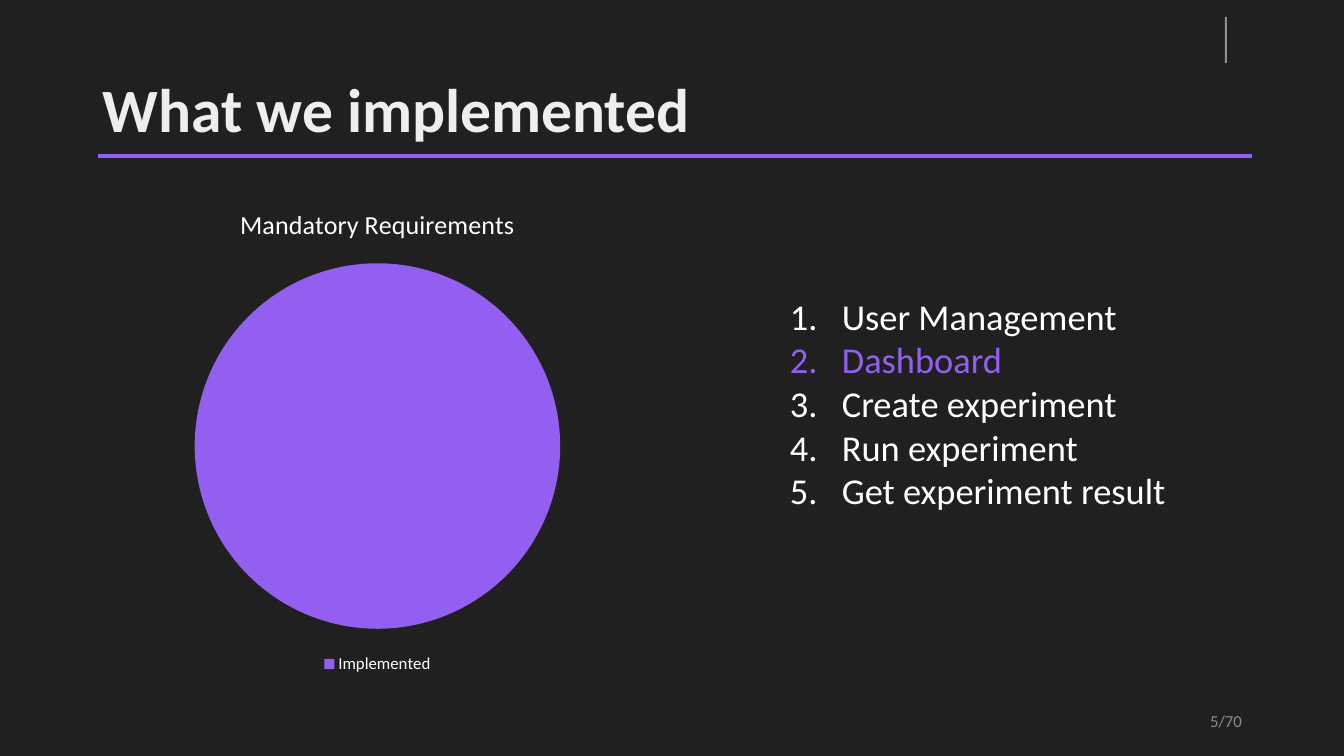
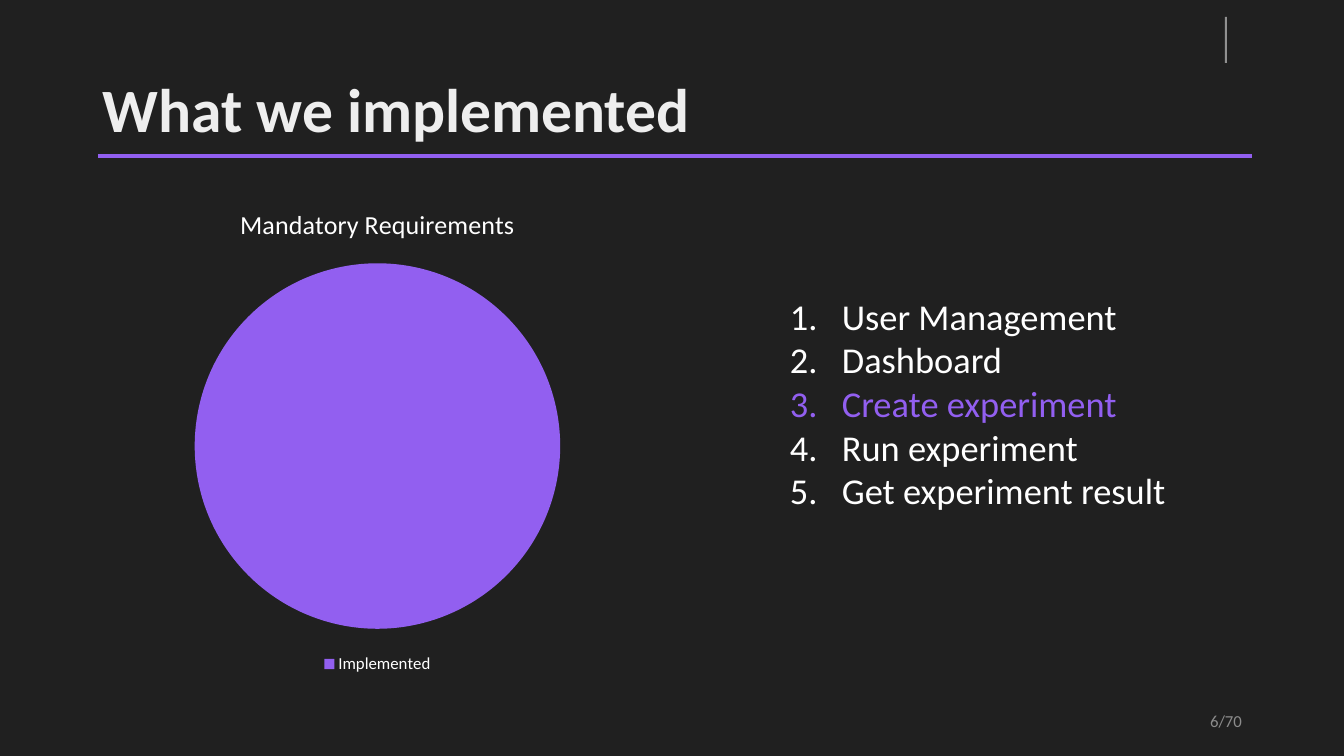
from lxml import etree
from pptx import Presentation
from pptx.chart.data import CategoryChartData
from pptx.dml.color import RGBColor
from pptx.enum.chart import XL_CHART_TYPE, XL_LEGEND_POSITION
from pptx.enum.shapes import MSO_CONNECTOR, MSO_SHAPE
from pptx.enum.text import MSO_ANCHOR, PP_ALIGN
from pptx.oxml.ns import qn
from pptx.util import Pt

PIE = XL_CHART_TYPE.PIE
LEGEND_BOTTOM = XL_LEGEND_POSITION.BOTTOM
STRAIGHT = MSO_CONNECTOR.STRAIGHT
RECTANGLE = MSO_SHAPE.RECTANGLE
TOP, MIDDLE = MSO_ANCHOR.TOP, MSO_ANCHOR.MIDDLE
LEFT, RIGHT = PP_ALIGN.LEFT, PP_ALIGN.RIGHT

BACKGROUND = RGBColor(0x20, 0x20, 0x20)
ACCENT = RGBColor(0x92, 0x5F, 0xF0)
WHITE = RGBColor(0xFF, 0xFF, 0xFF)
TITLE_COLOR = RGBColor(0xEE, 0xEE, 0xEE)
MARK_COLOR = RGBColor(0x90, 0x90, 0x90)
NUMBER_COLOR = RGBColor(0x8C, 0x8C, 0x8C)
FONT = "Calibri"

PAGE_WIDTH, PAGE_HEIGHT = 1344, 756
EMU_PER_PX = 12192000 / PAGE_WIDTH
TITLE_BOX = (93, 40, 1159, 146)
RULE_BOX = (98, 156, 1154, 0)
MARK_BOX = (1225, 17, 2, 46)
CHART_BOX = (92, 186, 571, 492)
LIST_BOX = (780, 289, 434, 319)
NUMBER_BOX = (950, 701, 302, 40)
LIST_INDENT = 52

TITLE = "What we implemented"
CHART_TITLE = "Mandatory Requirements"
REQUIREMENTS = [
    "User Management",
    "Dashboard",
    "Create experiment",
    "Run experiment",
    "Get experiment result",
]
PAGE_TOTAL = 70
HIGHLIGHTS = {5: "Dashboard", 6: "Create experiment"}


def px(length):
    return round(length * EMU_PER_PX)


def emu(box):
    return [px(length) for length in box]


def style_font(font, size, color, bold=False):
    font.name = FONT
    font.size = Pt(size)
    font.bold = bold
    font.color.rgb = color


def add_text_frame(page, box, anchor):
    frame = page.shapes.add_textbox(*emu(box)).text_frame
    frame.word_wrap = True
    frame.vertical_anchor = anchor
    return frame


def add_line_of_text(page, box, text, size, color, align=LEFT, bold=False):
    para = add_text_frame(page, box, MIDDLE).paragraphs[0]
    para.text = text
    para.alignment = align
    style_font(para.font, size, color, bold)
    return para


def add_rule(page, box):
    left, top, width, height = emu(box)
    rule = page.shapes.add_connector(STRAIGHT, left, top, left + width, top + height)
    rule.line.color.rgb = ACCENT
    rule.line.width = Pt(3)
    etree.SubElement(rule.element.spPr, qn("a:effectLst"))


def add_mark(page, box):
    mark = page.shapes.add_shape(RECTANGLE, *emu(box))
    mark.shadow.inherit = False
    mark.fill.solid()
    mark.fill.fore_color.rgb = MARK_COLOR
    mark.line.fill.background()


def add_page(deck, number):
    page = deck.slides.add_slide(deck.slide_layouts[6])
    page.background.fill.solid()
    page.background.fill.fore_color.rgb = BACKGROUND
    add_rule(page, RULE_BOX)
    add_mark(page, MARK_BOX)
    title = add_line_of_text(page, TITLE_BOX, TITLE, 44, TITLE_COLOR, bold=True)
    title.line_spacing = 0.9
    add_line_of_text(
        page, NUMBER_BOX, f"{number}/{PAGE_TOTAL}", 12, NUMBER_COLOR, align=RIGHT
    )
    return page


def add_requirement_chart(page, box):
    data = CategoryChartData()
    data.categories = ["Implemented"]
    data.add_series(CHART_TITLE, [100])
    chart = page.shapes.add_chart(PIE, *emu(box), data).chart
    style_font(chart.font, 12, WHITE)
    chart.has_title = True
    heading = chart.chart_title.text_frame.paragraphs[0]
    heading.text = CHART_TITLE
    style_font(heading.font, 18.6, WHITE)
    chart.chart_title.include_in_layout = False
    chart.has_legend = True
    chart.legend.position = LEGEND_BOTTOM
    chart.legend.include_in_layout = False
    style_font(chart.legend.font, 12, WHITE)
    chart.plots[0].vary_by_categories = True
    slice_fill = chart.plots[0].series[0].points[0].format.fill
    slice_fill.solid()
    slice_fill.fore_color.rgb = ACCENT


def number_paragraph(para, color):
    properties = para._p.get_or_add_pPr()
    properties.set("marL", str(px(LIST_INDENT)))
    properties.set("indent", str(-px(LIST_INDENT)))
    bullet_color = etree.SubElement(properties, qn("a:buClr"))
    etree.SubElement(bullet_color, qn("a:srgbClr"), val=str(color))
    etree.SubElement(properties, qn("a:buFont"), typeface=FONT)
    etree.SubElement(properties, qn("a:buAutoNum"), type="arabicPeriod")


def add_requirement_list(page, box, highlight):
    frame = add_text_frame(page, box, TOP)
    for index, requirement in enumerate(REQUIREMENTS):
        para = frame.add_paragraph() if index else frame.paragraphs[0]
        para.text = requirement
        color = ACCENT if requirement == highlight else WHITE
        number_paragraph(para, color)
        style_font(para.font, 26, color)


def main():
    deck = Presentation()
    deck.slide_width, deck.slide_height = px(PAGE_WIDTH), px(PAGE_HEIGHT)
    for number, highlight in HIGHLIGHTS.items():
        page = add_page(deck, number)
        add_requirement_chart(page, CHART_BOX)
        add_requirement_list(page, LIST_BOX, highlight)
    deck.save("out.pptx")


if __name__ == "__main__":
    main()
